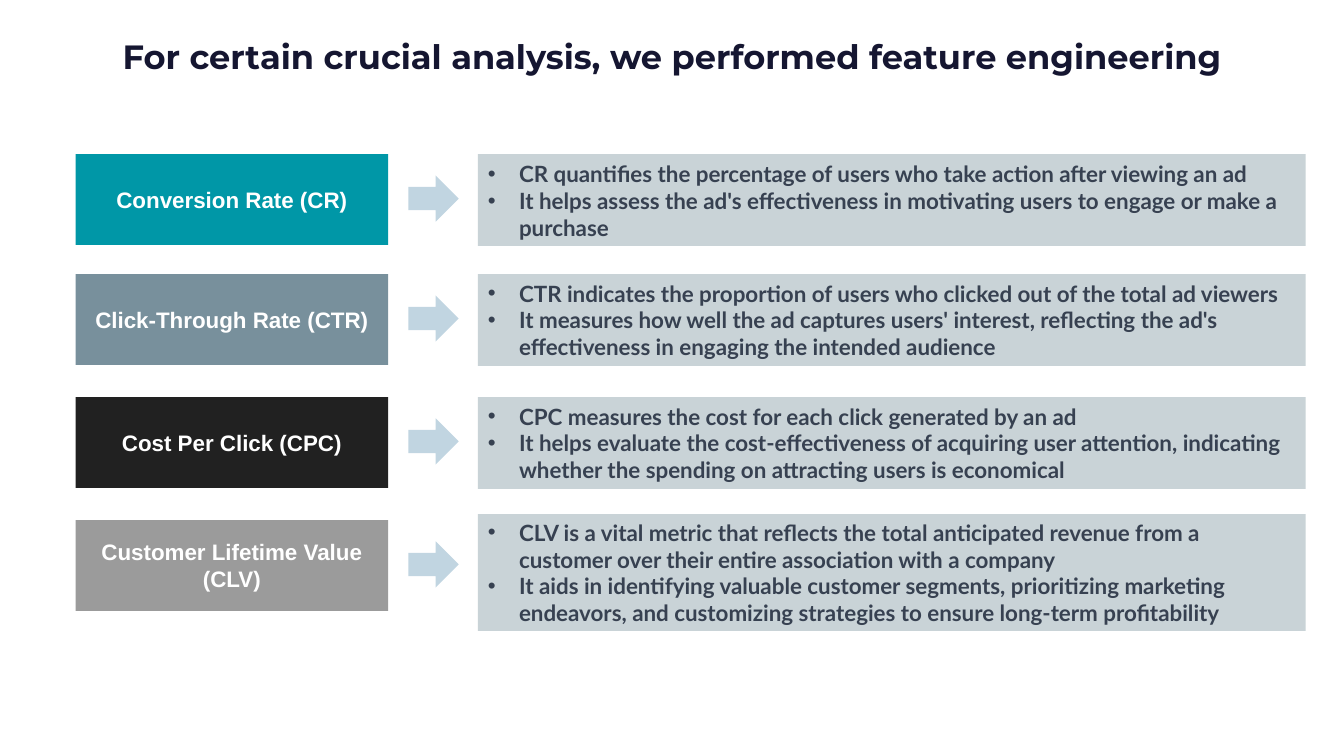
from dataclasses import dataclass

from lxml.etree import SubElement
from pptx import Presentation
from pptx.dml.color import RGBColor as Rgb
from pptx.enum.shapes import MSO_SHAPE as Shape
from pptx.enum.text import MSO_ANCHOR as Anchor, PP_ALIGN as Align
from pptx.oxml.ns import qn
from pptx.util import Inches, Pt


@dataclass(frozen=True)
class Theme:
    title_ink: str = "151631"
    label_ink: str = "FFFFFF"
    detail_ink: str = "374151"
    panel: str = "C9D3D7"
    arrow: str = "C1D5E1"
    title_font: str = "Montserrat"
    label_font: str = "Arial"
    detail_font: str = "Lato"
    title_size: int = 24
    body_size: int = 16


class MetricSlide:
    def __init__(self, slide, theme):
        self.slide = slide
        self.theme = theme

    def add_text(self, paragraph, text, font, size, ink):
        run = paragraph.add_run()
        run.text = text
        run.font.name = font
        run.font.size = Pt(size)
        run.font.bold = True
        run.font.color.rgb = Rgb.from_string(ink)

    def block(self, kind, left, top, width, height, color):
        block = self.slide.shapes.add_shape(
            kind, Inches(left), Inches(top), Inches(width), Inches(height))
        block.shadow.inherit = False
        block.fill.solid()
        block.fill.fore_color.rgb = Rgb.from_string(color)
        block.line.fill.background()
        return block

    def title(self, text):
        heading = self.slide.shapes.add_textbox(
            Inches(0), Inches(0.23), Inches(13.33), Inches(0.75)).text_frame
        heading.word_wrap = True
        heading.margin_left = heading.margin_right = Inches(0.13)
        heading.margin_top = heading.margin_bottom = Inches(0.13)
        line = heading.paragraphs[0]
        line.alignment = Align.CENTER
        style = self.theme
        self.add_text(line, text, style.title_font, style.title_size, style.title_ink)

    def label(self, text, top, color):
        frame = self.block(Shape.RECTANGLE, 0.75, top, 3.1, 0.9, color).text_frame
        frame.word_wrap = True
        frame.vertical_anchor = Anchor.MIDDLE
        line = frame.paragraphs[0]
        line.alignment = Align.CENTER
        style = self.theme
        self.add_text(line, text, style.label_font, style.body_size, style.label_ink)

    def arrow(self, top):
        self.block(Shape.RIGHT_ARROW, 4.05, top, 0.5, 0.46, self.theme.arrow)

    def details(self, points, top, height, anchor):
        style = self.theme
        frame = self.block(Shape.RECTANGLE, 4.74, top, 8.21, height, style.panel).text_frame
        frame.word_wrap = True
        frame.vertical_anchor = anchor
        for index, point in enumerate(points):
            line = frame.add_paragraph() if index else frame.paragraphs[0]
            line.alignment = Align.LEFT
            self.bullet(line)
            self.add_text(line, point, style.detail_font, style.body_size, style.detail_ink)

    def bullet(self, paragraph):
        properties = paragraph._p.get_or_add_pPr()
        indent = Inches(0.31)
        properties.set("marL", str(indent))
        properties.set("indent", str(-indent))
        SubElement(properties, qn("a:buFont")).set("typeface", "Arial")
        SubElement(properties, qn("a:buChar")).set("char", "•")


# Metric, label colour, row top, panel top, panel height, panel anchor, points
METRICS = [
    ("Conversion Rate (CR)", "0097A7", 1.53, 1.53, 0.91, Anchor.BOTTOM, [
        "CR quantifies the percentage of users who take action after viewing an ad",
        "It helps assess the ad's effectiveness in motivating users to engage "
        "or make a purchase"]),
    ("Click-Through Rate (CTR)", "78909C", 2.72, 2.72, 0.91, Anchor.MIDDLE, [
        "CTR indicates the proportion of users who clicked out of the total ad viewers",
        "It measures how well the ad captures users' interest, reflecting the ad's "
        "effectiveness in engaging the intended audience"]),
    ("Cost Per Click (CPC)", "212121", 3.94, 3.94, 0.91, Anchor.MIDDLE, [
        "CPC measures the cost for each click generated by an ad",
        "It helps evaluate the cost-effectiveness of acquiring user attention, "
        "indicating whether the spending on attracting users is economical"]),
    ("Customer Lifetime Value (CLV)", "9B9B9B", 5.16, 5.1, 1.16, Anchor.MIDDLE, [
        "CLV is a vital metric that reflects the total anticipated revenue from a "
        "customer over their entire association with a company",
        "It aids in identifying valuable customer segments, prioritizing marketing "
        "endeavors, and customizing strategies to ensure long-term profitability"]),
]


def main():
    deck = Presentation()
    deck.slide_width = Inches(13.33)
    deck.slide_height = Inches(7.5)
    page = MetricSlide(deck.slides.add_slide(deck.slide_layouts[6]), Theme())

    # Heading
    page.title("For certain crucial analysis, we performed feature engineering")

    # One row per metric: label, arrow, explanation
    for metric, color, top, panel_top, panel_height, anchor, points in METRICS:
        page.label(metric, top, color)
        page.arrow(top + 0.21)
        page.details(points, panel_top, panel_height, anchor)

    deck.save("out.pptx")


if __name__ == "__main__":
    main()
